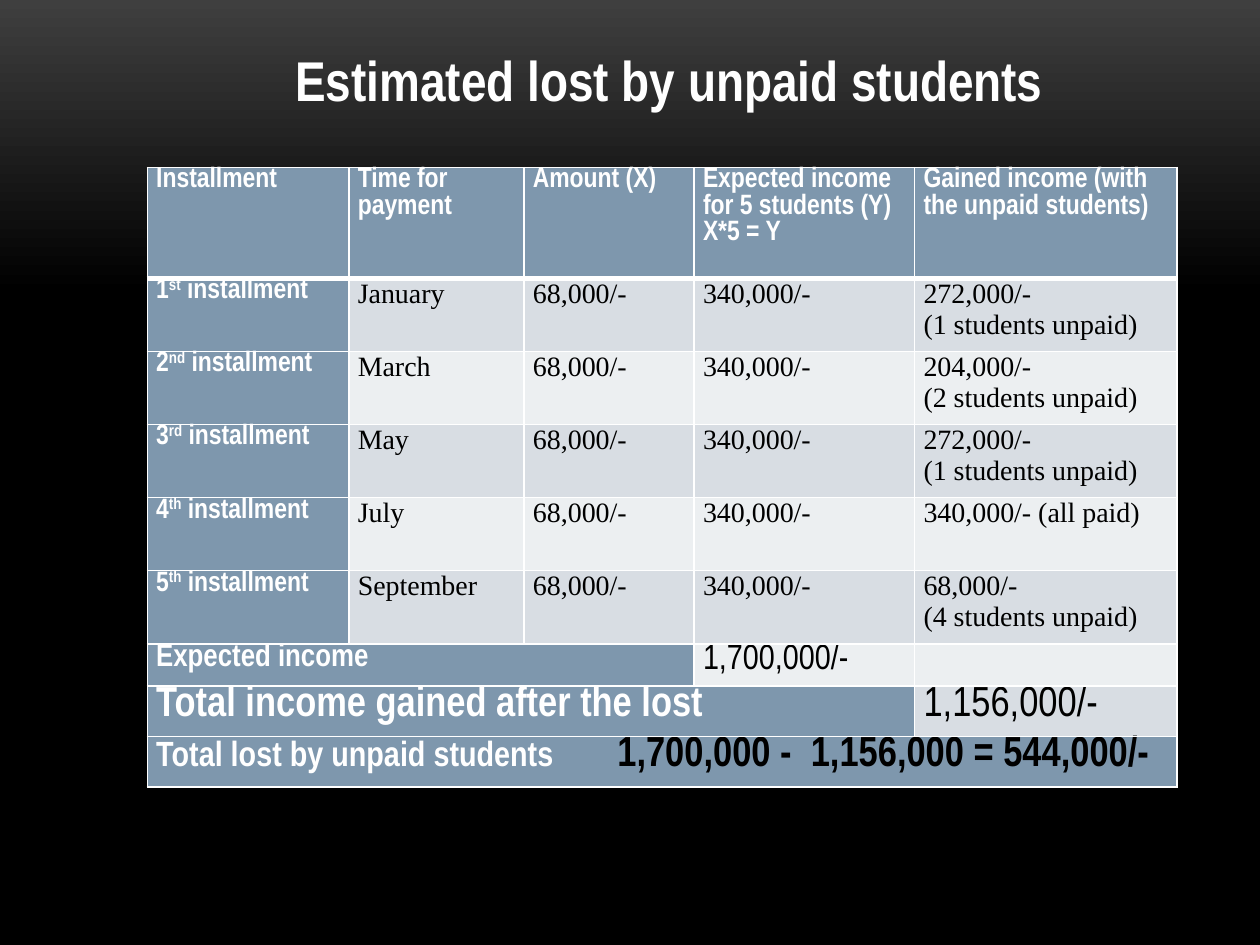
from dataclasses import dataclass

from lxml import etree
from pptx import Presentation
from pptx.dml.color import RGBColor
from pptx.enum.text import MSO_AUTO_SIZE, PP_ALIGN
from pptx.oxml.ns import qn
from pptx.util import Inches, Pt

CENTER = PP_ALIGN.CENTER
FIT_SHAPE = MSO_AUTO_SIZE.SHAPE_TO_FIT_TEXT


@dataclass(frozen=True)
class Theme:
    white: str = "FFFFFF"
    black: str = "000000"
    bg_top: str = "3F3F3F"
    accent: str = "7E97AD"
    band_dark: str = "D8DDE3"
    band_light: str = "ECEFF1"
    narrow: str = "Arial Narrow"
    serif: str = "Times New Roman"
    title: int = 32
    total: int = 24
    result: int = 20
    label: int = 18
    body: int = 16


T = Theme()


def style(size, name=T.narrow, color=T.white, bold=True):
    return {"size": Pt(size), "name": name, "bold": bold, "color": color}


HEAD = style(T.body)
BODY = style(T.body, T.serif, T.black, False)

COL_WIDTHS = [1.6, 1.39, 1.35, 1.75, 2.08]
ROW_HEIGHTS = [0.88] + [0.58] * 5 + [0.29] * 3
HEADERS = [
    "Installment",
    "Time for payment",
    "Amount (X)",
    "Expected income for 5 students (Y)\nX*5 = Y",
    "Gained income (with the unpaid students)",
]
INSTALLMENTS = [
    ("1", "st", "January", "272,000/-\n(1 students unpaid)"),
    ("2", "nd", "March", "204,000/-\n(2 students unpaid)"),
    ("3", "rd", "May", "272,000/-\n(1 students unpaid)"),
    ("4", "th", "July", "340,000/- (all paid)"),
    ("5", "th", "September", "68,000/-\n(4 students unpaid)"),
]


def add_run(p, text, fmt, baseline=None):
    r = p.add_run()
    r.text = text
    for key, value in fmt.items():
        if key == "color":
            r.font.color.rgb = RGBColor.from_string(value)
        else:
            setattr(r.font, key, value)
    if baseline:
        r._r.get_or_add_rPr().set("baseline", str(baseline))


def write(tf, text, fmt):
    for i, line in enumerate(text.split("\n")):
        p = tf.add_paragraph() if i else tf.paragraphs[0]
        add_run(p, line, fmt)


def add_tab_stop(p, position):
    tabs = etree.SubElement(p._p.get_or_add_pPr(), qn("a:tabLst"))
    etree.SubElement(tabs, qn("a:tab"), pos=str(position), algn="l")


def set_borders(cell, widths):
    """Draw white borders; widths maps a side (L, R, T, B) to points."""
    tc_pr = cell._tc.get_or_add_tcPr()
    for side, width in widths.items():
        ln = etree.SubElement(tc_pr, qn(f"a:ln{side}"), w=str(Pt(width)))
        fill = etree.SubElement(ln, qn("a:solidFill"))
        etree.SubElement(fill, qn("a:srgbClr"), val=T.white)


def format_cell(cell, row, accent):
    margins = {"margin_left": 0.07, "margin_right": 0.07,
               "margin_top": 0, "margin_bottom": 0}
    for key, value in margins.items():
        setattr(cell, key, Inches(value))
    set_borders(cell, {"L": 1, "R": 1, "T": 3 if row == 1 else 1,
                       "B": 3 if row == 0 else 1})
    band = T.band_dark if row % 2 else T.band_light
    cell.fill.solid()
    cell.fill.fore_color.rgb = RGBColor.from_string(T.accent if accent else band)


def set_background(s):
    fill = s.background.fill
    fill.gradient()
    fill.gradient_angle = 270
    stops = [(0, T.bg_top), (0.31, T.black)]
    for stop, (position, color) in zip(fill.gradient_stops, stops):
        stop.position = position
        stop.color.rgb = RGBColor.from_string(color)


def add_title(s):
    sp = s.shapes.add_textbox(Inches(2.17), Inches(0.31), Inches(6.29), Inches(0.64))
    tf = sp.text_frame
    tf.word_wrap = False
    tf.auto_size = FIT_SHAPE
    tf.paragraphs[0].alignment = CENTER
    write(tf, "Estimated lost by unpaid students", style(T.title))


def add_income_table(s):
    table = s.shapes.add_table(
        len(ROW_HEIGHTS), len(COL_WIDTHS), Inches(1.17), Inches(1.33),
        Inches(sum(COL_WIDTHS)), Inches(sum(ROW_HEIGHTS))).table
    for col, width in zip(table.columns, COL_WIDTHS):
        col.width = Inches(width)
    for row, height in zip(table.rows, ROW_HEIGHTS):
        row.height = Inches(height)

    first_total = 1 + len(INSTALLMENTS)
    label_spans = {first_total: 3, first_total + 1: 4, first_total + 2: 5}
    for row in range(len(ROW_HEIGHTS)):
        span = label_spans.get(row, 1)
        for col in range(len(COL_WIDTHS)):
            format_cell(table.cell(row, col), row, row == 0 or col < span)
        if span > 1:
            table.cell(row, 0).merge(table.cell(row, span - 1))
    return table


def fill_installments(table):
    for col, text in enumerate(HEADERS):
        write(table.cell(0, col).text_frame, text, HEAD)
    for row, (number, suffix, month, gained) in enumerate(INSTALLMENTS, 1):
        p = table.cell(row, 0).text_frame.paragraphs[0]
        add_run(p, number, HEAD)
        add_run(p, suffix, HEAD, baseline=30000)
        add_run(p, " installment", HEAD)
        for col, text in enumerate([month, "68,000/-", "340,000/-", gained], 1):
            write(table.cell(row, col).text_frame, text, BODY)


def fill_totals(table):
    expected, gained, lost = range(1 + len(INSTALLMENTS), len(ROW_HEIGHTS))
    entries = [
        (expected, 0, "Expected income", style(T.label)),
        (expected, 3, "1,700,000/-", style(T.result, color=T.black, bold=False)),
        (gained, 0, "Total income gained after the lost", style(T.total)),
        (gained, 4, "1,156,000/-", style(T.total, color=T.black, bold=False)),
    ]
    for row, col, text, fmt in entries:
        write(table.cell(row, col).text_frame, text, fmt)
    p = table.cell(lost, 0).text_frame.paragraphs[0]
    add_tab_stop(p, Inches(3.66))
    add_run(p, "Total lost by unpaid students\t", style(T.result))
    add_run(p, "1,700,000 -  1,156,000 = 544,000/-", style(T.total, color=T.black))


def main():
    prs = Presentation()
    prs.slide_width, prs.slide_height = Inches(10), Inches(7.5)
    s = prs.slides.add_slide(prs.slide_layouts[6])
    set_background(s)
    add_title(s)
    table = add_income_table(s)
    fill_installments(table)
    fill_totals(table)
    prs.save("out.pptx")


if __name__ == "__main__":
    main()
